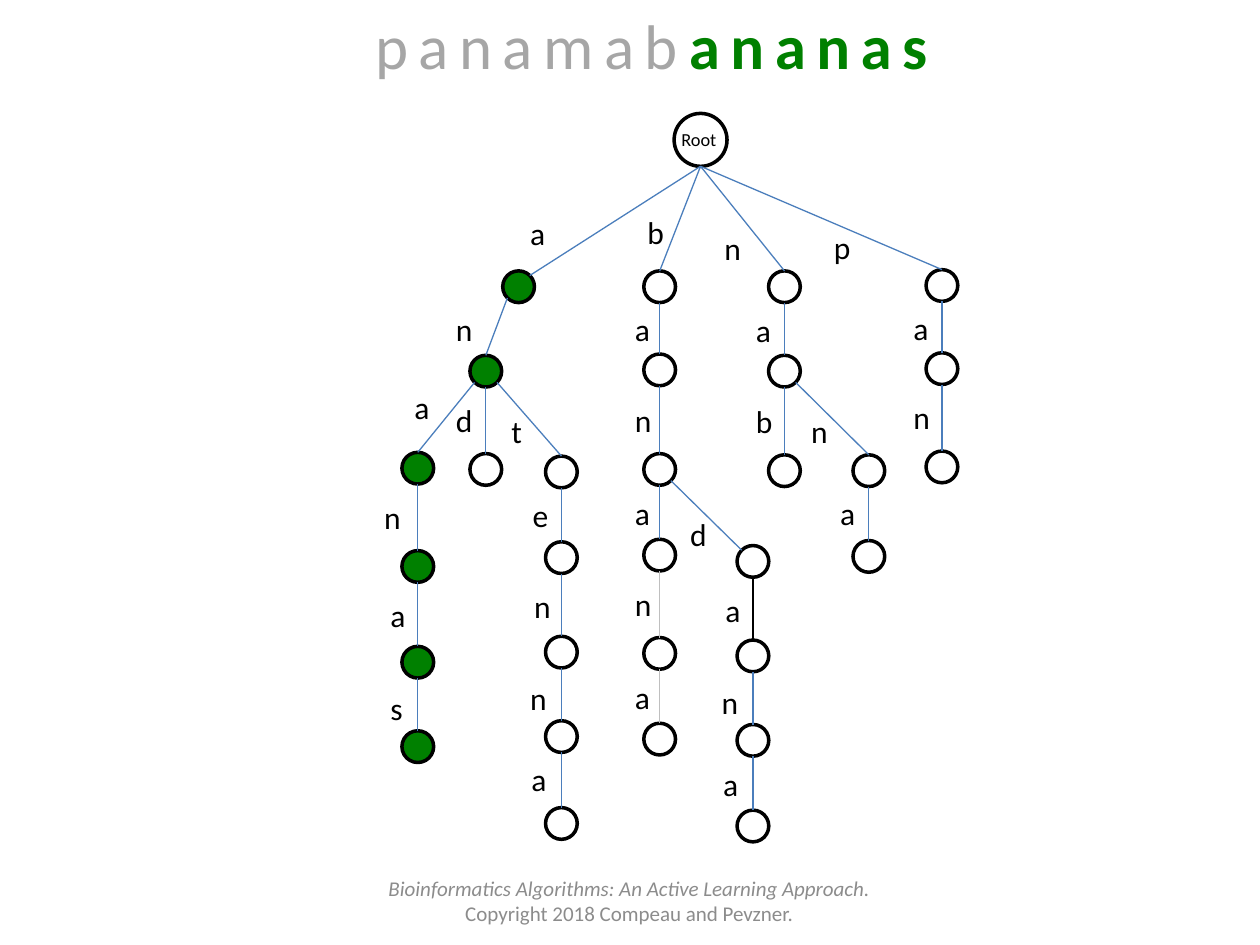
import lxml.etree
import pptx
import pptx.dml.color
import pptx.enum.shapes
import pptx.enum.text
import pptx.oxml.ns
import pptx.util

RGBColor = pptx.dml.color.RGBColor
BLACK = RGBColor(0, 0, 0)
WHITE = RGBColor(255, 255, 255)
GREEN = RGBColor(0, 128, 0)
BLUE = RGBColor(0x4B, 0x7E, 0xBC)
SILVER = RGBColor(0xBF, 0xBF, 0xBF)
TITLE_GRAY = RGBColor(0xA6, 0xA6, 0xA6)
FOOTER_GRAY = RGBColor(0x8C, 0x8C, 0x8C)
CENTER = pptx.enum.text.PP_ALIGN.CENTER
MIDDLE = pptx.enum.text.MSO_ANCHOR.MIDDLE

# The slide is a grid of square cells
COLUMNS, ROWS = 1000, 750
CELL = pptx.util.Inches(10) // COLUMNS

NODE_SIZE = 25.2
ROOT = (535, 90, 42)  # column, row, diameter
MATCH = "ananas"

# Each node is named by the letters on its path from the root:
# (node column, node row, label column, label row)
NODES = {
    "a": (399, 215, 411, 165),
    "an": (373, 282, 352, 241),
    "ana": (319, 359, 319, 303),
    "anan": (319, 437, 295, 390),
    "anana": (319, 513, 300, 468),
    "ananas": (319, 580, 300, 542),
    "and": (373, 360, 352, 313),
    "ant": (433, 362, 396, 322),
    "ante": (433, 430, 413, 389),
    "anten": (433, 505, 414, 461),
    "antenn": (433, 572, 411, 534),
    "antenna": (433, 641, 412, 598),
    "b": (511, 215, 504, 164),
    "ba": (511, 281, 494, 241),
    "ban": (511, 360, 494, 313),
    "bana": (511, 428, 494, 387),
    "banan": (511, 506, 494, 459),
    "banana": (511, 574, 494, 533),
    "band": (585, 433, 538, 404),
    "banda": (585, 508, 566, 464),
    "bandan": (585, 575, 563, 537),
    "bandana": (585, 643, 564, 602),
    "n": (610, 215, 565, 177),
    "na": (610, 282, 590, 242),
    "nab": (610, 361, 590, 314),
    "nan": (677, 361, 634, 322),
    "nana": (677, 429, 657, 387),
    "p": (735, 214, 652, 176),
    "pa": (735, 280, 715, 240),
    "pan": (735, 358, 715, 311),
}
EDGE_COLORS = {"banan": SILVER, "banana": SILVER, "banda": BLACK}
# Edges that meet the side of the lower circle: -1 upper left, 1 upper right
SIDE_ENTRIES = {"a": 1, "band": -1}


def cells(*counts):
    return [round(count * CELL) for count in counts]


def add_text(slide, place, lines, *, size, color=BLACK, align=None, anchor=None, wrap=True):
    """Lines hold (text, format) runs; a format may set color, bold, italic or spacing."""
    frame = slide.shapes.add_textbox(*cells(*place)).text_frame
    frame.word_wrap = wrap
    if anchor is not None:
        frame.vertical_anchor = anchor
    for index, runs in enumerate(lines):
        paragraph = frame.add_paragraph() if index else frame.paragraphs[0]
        paragraph.alignment = align
        for text, style in runs:
            run = paragraph.add_run()
            run.text = text
            run.font.name = "Calibri"
            run.font.size = pptx.util.Pt(size)
            run.font.color.rgb = style.get("color", color)
            run.font.bold = style.get("bold")
            run.font.italic = style.get("italic")
            if "spacing" in style:
                run.font._element.set("spc", str(style["spacing"] * 100))


def add_circle(slide, column, row, diameter, fill):
    shape = slide.shapes.add_shape(pptx.enum.shapes.MSO_SHAPE.OVAL,
                                   *cells(column, row, diameter, diameter))
    shape.shadow.inherit = False
    shape.fill.solid()
    shape.fill.fore_color.rgb = fill
    shape.line.color.rgb = BLACK
    shape.line.width = pptx.util.Pt(2)
    return shape


def rim_point(circle, side, down):
    """Point on a circle's rim: side -1, 0 or 1 across, down -1 or 1."""
    radius = circle.width / 2
    reach = radius * (0.5 ** 0.5 if side else 1)
    return (round(circle.left + radius + side * reach),
            round(circle.top + radius + down * reach))


def add_edge(slide, parent, child, color, start_side, end_side):
    connector = slide.shapes.add_connector(
        pptx.enum.shapes.MSO_CONNECTOR.STRAIGHT,
        *rim_point(parent, start_side, 1), *rim_point(child, end_side, -1))
    connector.line.color.rgb = color
    connector.line.width = pptx.util.Pt(0.75)
    lxml.etree.SubElement(connector._element.spPr, pptx.oxml.ns.qn("a:effectLst"))
    if not end_side:
        connector.end_connect(child, 0)


def add_trie(slide):
    circles = {"": add_circle(slide, *ROOT, WHITE)}
    add_text(slide, (531, 97, 55, 28), [[("Root", {})]], size=10.5)
    for name, (column, row, label_column, label_row) in NODES.items():
        fill = GREEN if MATCH.startswith(name) else WHITE
        circles[name] = add_circle(slide, column, row, NODE_SIZE, fill)
        parent = name[:-1]
        # Edges fan out from the root's bottom, elsewhere from the nearer side
        shift = column - NODES[parent][0] if parent else 0
        start_side = (shift > 0) - (shift < 0)
        add_edge(slide, circles[parent], circles[name],
                 EDGE_COLORS.get(name, BLUE), start_side, SIDE_ENTRIES.get(name, 0))
        add_text(slide, (label_column, label_row, 33, 40), [[(name[-1], {})]],
                 size=18, wrap=False)


def main():
    presentation = pptx.Presentation()
    presentation.slide_width, presentation.slide_height = cells(COLUMNS, ROWS)
    slide = presentation.slides.add_slide(presentation.slide_layouts[6])

    # Title: the text with the matched suffix in green
    add_text(slide, (267, 0, 500, 71),
             [[("panamab", {"color": TITLE_GRAY, "spacing": 6}),
               (MATCH, {"color": GREEN, "bold": True, "spacing": 6})]],
             size=36, align=CENTER)

    # Trie of patterns
    add_trie(slide)

    # Footer
    add_text(slide, (283, 695, 433, 40),
             [[("Bioinformatics Algorithms: An Active Learning Approach.", {"italic": True})],
              [("Copyright 2018 Compeau and Pevzner.", {})]],
             size=12, color=FOOTER_GRAY, align=CENTER, anchor=MIDDLE)

    presentation.save("out.pptx")


if __name__ == "__main__":
    main()
